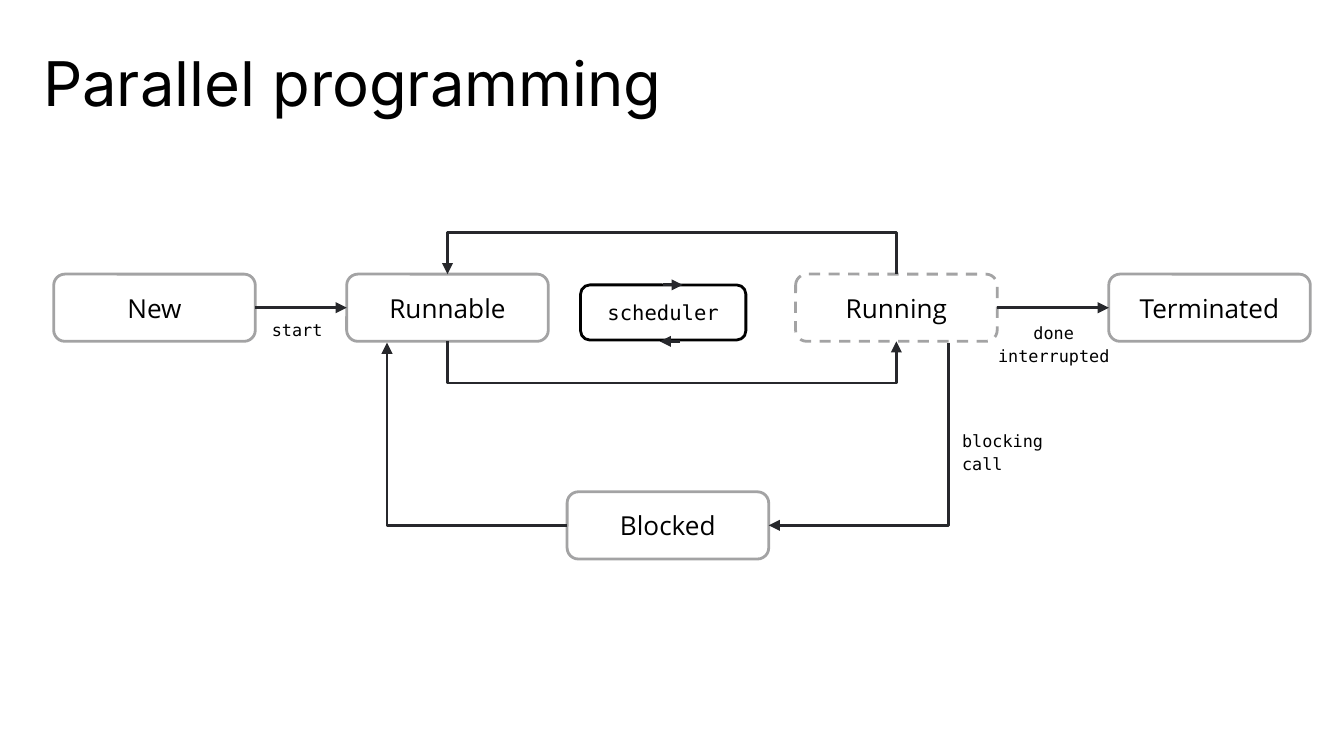
"""Build a slide that shows the life cycle of a thread as a state diagram."""
from lxml.etree import SubElement
from pptx import Presentation
from pptx.dml.color import RGBColor
from pptx.enum.dml import MSO_LINE
from pptx.enum.shapes import MSO_CONNECTOR, MSO_SHAPE
from pptx.enum.text import MSO_ANCHOR, MSO_AUTO_SIZE, PP_ALIGN
from pptx.oxml.ns import qn
from pptx.util import Inches, Pt

BLACK = RGBColor(0x00, 0x00, 0x00)
WHITE = RGBColor(0xFF, 0xFF, 0xFF)
GRAY = RGBColor(0xA3, 0xA3, 0xA4)
CHARCOAL = RGBColor(0x27, 0x28, 0x2C)
MONO = "DejaVu Sans Mono"
STROKE = Pt(1.5)
STATE_WIDTH, STATE_HEIGHT = 1.5, 0.5


def write(shape, text, font, size, align=PP_ALIGN.CENTER, anchor=MSO_ANCHOR.MIDDLE,
          spacing=1.0, inset_x=0.1, inset_y=0.1):
    frame = shape.text_frame
    frame.text = text
    frame.word_wrap = True
    frame.auto_size = MSO_AUTO_SIZE.NONE
    frame.vertical_anchor = anchor
    frame.margin_left = frame.margin_right = Inches(inset_x)
    frame.margin_top = frame.margin_bottom = Inches(inset_y)
    for paragraph in frame.paragraphs:
        paragraph.alignment = align
        paragraph.line_spacing = spacing
        for part in (paragraph, *paragraph.runs):
            part.font.name = font
            part.font.size = Pt(size)
            part.font.color.rgb = BLACK


def draw_arrow(shapes, points):
    start, *rest = [(Inches(x), Inches(y)) for x, y in points]
    if len(rest) == 1:
        arrow = shapes.add_connector(MSO_CONNECTOR.STRAIGHT, *start, *rest[0])
    else:
        builder = shapes.build_freeform(*start)
        builder.add_line_segments(rest, close=False)
        arrow = builder.convert_to_shape()
        arrow.fill.background()
    arrow.line.color.rgb = CHARCOAL
    arrow.line.width = STROKE
    properties = arrow.element.spPr
    SubElement(properties.find(qn("a:ln")), qn("a:tailEnd"), type="triangle")
    SubElement(properties, qn("a:effectLst"))


presentation = Presentation()
presentation.slide_width = Inches(10)
presentation.slide_height = Inches(10) * 9 // 16
slide = presentation.slides.add_slide(presentation.slide_layouts[5])
shapes = slide.shapes

title = shapes.title
title.left, title.top = Inches(0.32), Inches(0.32)
title.width, title.height = Inches(9.3), Inches(0.5)
write(title, "Parallel programming", "Inter", 33, align=PP_ALIGN.LEFT,
      anchor=MSO_ANCHOR.TOP, spacing=0.85, inset_x=0)

top = 2.04
bottom = top + STATE_HEIGHT
middle = top + STATE_HEIGHT / 2
new, runnable, running, terminated = 0.4, 2.58, 5.92, 8.25
blocked, blocked_top = 4.22, 3.66

state = {"width": STATE_WIDTH, "height": STATE_HEIGHT, "outline": GRAY,
         "font": "Open Sans", "size": 14}
boxes = [
    {**state, "text": "New", "left": new, "top": top},
    {**state, "text": "Runnable", "left": runnable, "top": top},
    {**state, "text": "Running", "left": running, "top": top},
    {**state, "text": "Terminated", "left": terminated, "top": top},
    {**state, "text": "Blocked", "left": blocked, "top": blocked_top},
    {"text": "scheduler", "left": 4.32, "top": 2.12, "width": 1.23, "height": 0.41,
     "outline": BLACK, "font": MONO, "size": 11},
]
for box in boxes:
    node = shapes.add_shape(
        MSO_SHAPE.ROUNDED_RECTANGLE,
        *(Inches(box[side]) for side in ("left", "top", "width", "height")))
    node.shadow.inherit = False
    node.fill.solid()
    node.fill.fore_color.rgb = WHITE
    node.line.color.rgb = box["outline"]
    node.line.width = STROKE
    if box["text"] == "Running":
        node.line.dash_style = MSO_LINE.DASH
    write(node, box["text"], box["font"], box["size"])

runnable_center = runnable + STATE_WIDTH / 2
running_center = running + STATE_WIDTH / 2
loop_top, loop_bottom = top - 0.31, bottom + 0.31
block_x, unblock_x = 7.06, 2.88
blocked_middle = blocked_top + STATE_HEIGHT / 2
arrows = [
    [(new + STATE_WIDTH, middle), (runnable, middle)],
    [(running + STATE_WIDTH, middle), (terminated, middle)],
    [(4.93, 2.12), (5.08, 2.12)],
    [(5.06, bottom), (4.91, bottom)],
    [(running_center, top), (running_center, loop_top),
     (runnable_center, loop_top), (runnable_center, top)],
    [(runnable_center, bottom), (runnable_center, loop_bottom),
     (running_center, loop_bottom), (running_center, bottom)],
    [(block_x, 2.55), (block_x, blocked_middle), (blocked + STATE_WIDTH, blocked_middle)],
    [(blocked, blocked_middle), (unblock_x, blocked_middle), (unblock_x, 2.55)],
]
for points in arrows:
    draw_arrow(shapes, points)

labels = [
    ("start", 1.92, 2.34, 0.58, 0.23, PP_ALIGN.CENTER, 1.0),
    ("done\ninterrupted", 7.31, 2.34, 1.06, 0.41, PP_ALIGN.CENTER, 1.15),
    ("blocking \vcall", block_x, 3.14, 1.06, 0.41, PP_ALIGN.LEFT, 1.15),
]
for text, left, label_top, width, height, align, spacing in labels:
    label = shapes.add_textbox(Inches(left), Inches(label_top), Inches(width), Inches(height))
    write(label, text, MONO, 9, align=align, anchor=MSO_ANCHOR.TOP,
          spacing=spacing, inset_y=0.04)

presentation.save("out.pptx")
